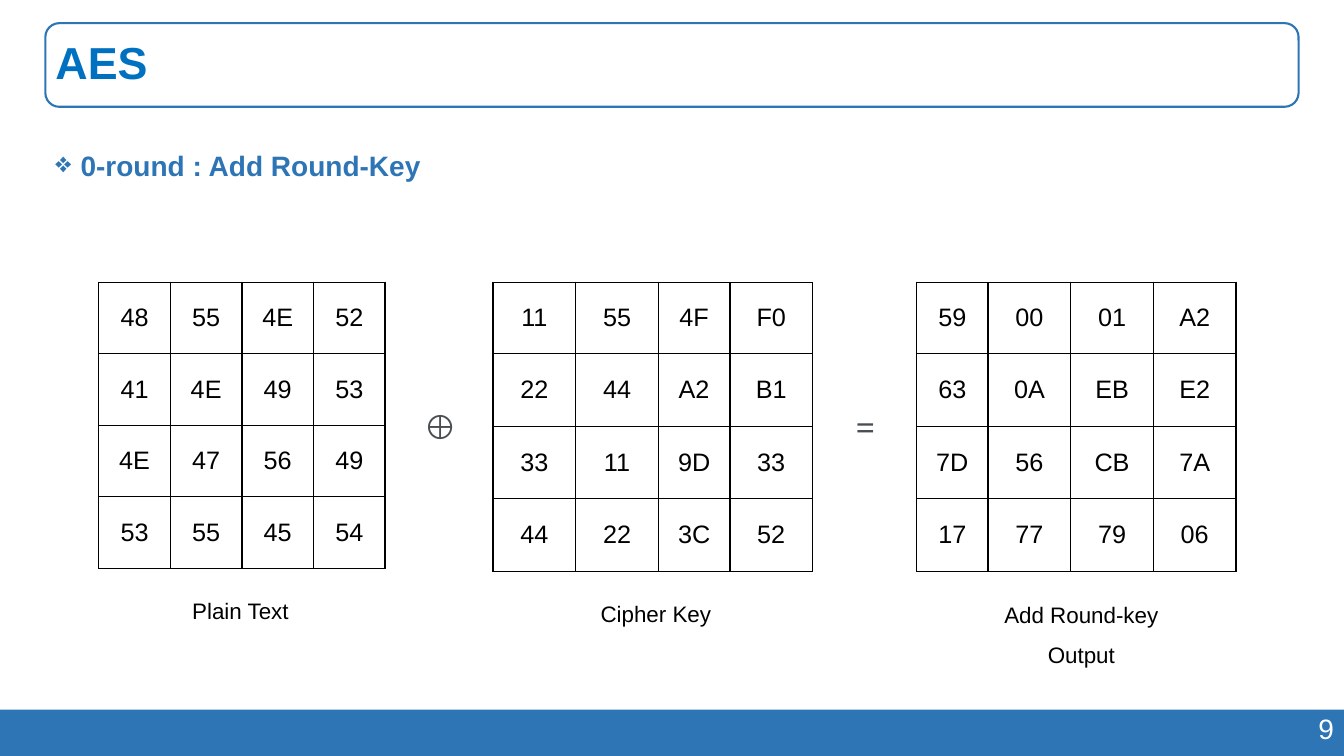
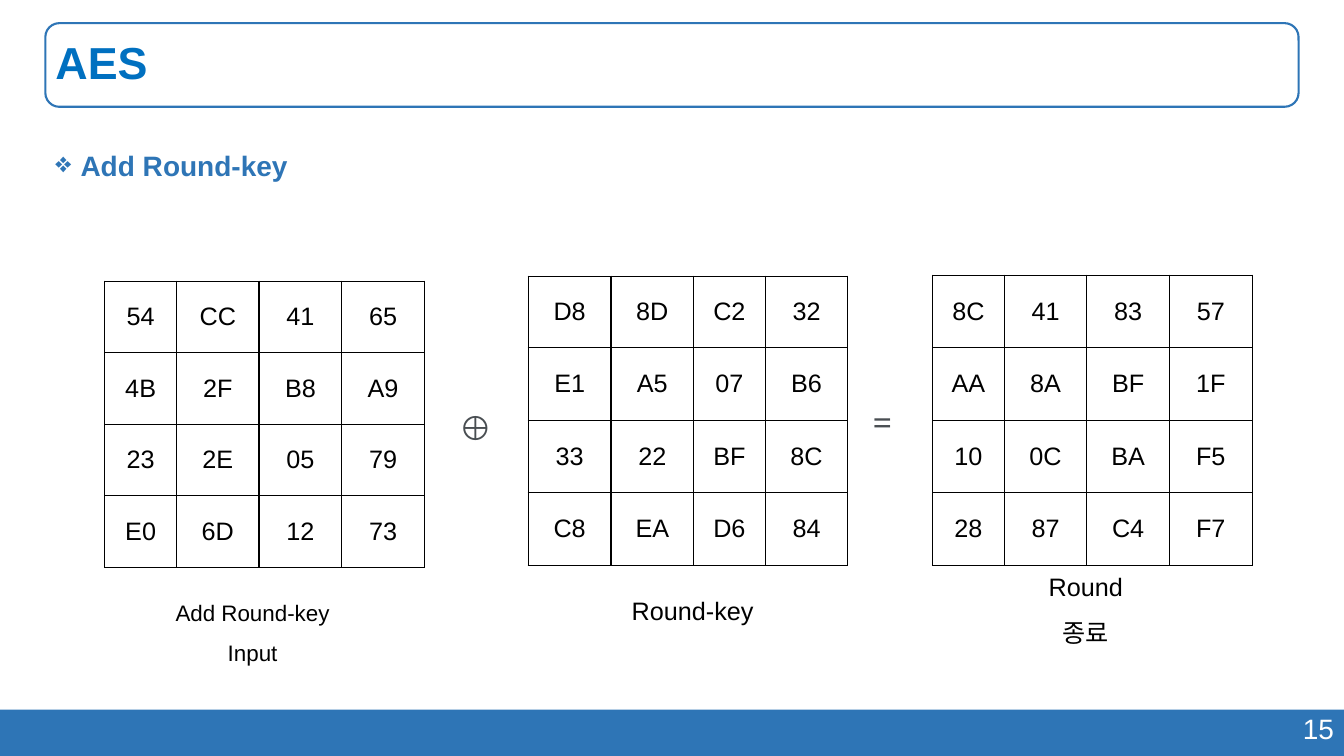
from lxml import etree
from pptx import Presentation
from pptx.dml.color import RGBColor
from pptx.enum.shapes import MSO_SHAPE
from pptx.enum.text import MSO_ANCHOR, MSO_AUTO_SIZE, PP_ALIGN
from pptx.oxml.ns import qn
from pptx.util import Emu, Pt

# Style constants
PX = 9144  # EMU in one px, 100 px to the inch
LEFT, CENTER, RIGHT = PP_ALIGN.LEFT, PP_ALIGN.CENTER, PP_ALIGN.RIGHT
TOP, MIDDLE = MSO_ANCHOR.TOP, MSO_ANCHOR.MIDDLE
RECTANGLE, ROUNDED = MSO_SHAPE.RECTANGLE, MSO_SHAPE.ROUNDED_RECTANGLE
NO_AUTO_SIZE = MSO_AUTO_SIZE.NONE
SANS, SERIF = "Arial", "Times New Roman"
WIDTH, HEIGHT = 1333, 750
BAND_TOP = 704
TITLE_BOX = (45, 23, 1243, 83)
NARROW, WIDE = 71, 82

BLUE, TITLE_BLUE = "2E75B6", "0070C0"
BLACK, WHITE, GRAY = "000000", "FFFFFF", "494E52"


def color(value):
    return RGBColor.from_string(value)


def px(*lengths):
    return [Emu(length * PX) for length in lengths]


class Deck:
    def __init__(self):
        self.presentation = Presentation()
        self.presentation.slide_width, self.presentation.slide_height = px(WIDTH, HEIGHT)
        self.slide = None

    def add_slide(self, title, heading, number):
        layout = self.presentation.slide_layouts[5]
        self.slide = self.presentation.slides.add_slide(layout)
        # Footer band with page number
        self.shape(RECTANGLE, (0, BAND_TOP, WIDTH, HEIGHT - BAND_TOP), fill=BLUE)
        self.text(number, (943, 701, 390, 44), 20, WHITE, align=RIGHT)
        # Framed title
        self.shape(ROUNDED, TITLE_BOX, line=BLUE)
        self.title(title)
        # Bulleted heading
        self.text(heading, (45, 126, 811, 83), 20, BLUE, bold=True,
                  spacing=1.5, bullet="❖")

    def shape(self, kind, box, fill=None, line=None):
        shape = self.slide.shapes.add_shape(kind, *px(*box))
        shape.shadow.inherit = False
        if fill:
            shape.fill.solid()
            shape.fill.fore_color.rgb = color(fill)
        else:
            shape.fill.background()
        if line:
            shape.line.color.rgb = color(line)
            shape.line.width = Pt(1.5)
        else:
            shape.line.fill.background()

    def title(self, text):
        title = self.slide.shapes.title
        title.left, title.top, title.width, title.height = px(*TITLE_BOX)
        frame = title.text_frame
        frame.text = text
        frame.auto_size = NO_AUTO_SIZE
        frame.vertical_anchor = MIDDLE
        self.format(frame.paragraphs[0], 32, TITLE_BLUE, bold=True, spacing=0.9)

    def text(self, text, box, size, ink, font=SANS, bold=False, align=LEFT,
             spacing=1.0, anchor=TOP, wrap=True, bullet=None):
        frame = self.slide.shapes.add_textbox(*px(*box)).text_frame
        frame.text = text
        frame.word_wrap = wrap
        frame.vertical_anchor = anchor
        for paragraph in frame.paragraphs:
            if bullet:
                self.bullet(paragraph, bullet)
            self.format(paragraph, size, ink, font, bold, align, spacing)

    def bullet(self, paragraph, character, indent=25):
        properties = paragraph._p.get_or_add_pPr()
        properties.set("marL", str(indent * PX))
        properties.set("indent", str(-indent * PX))
        etree.SubElement(properties, qn("a:buChar")).set("char", character)

    def format(self, paragraph, size, ink, font=SANS, bold=False, align=LEFT, spacing=1.0):
        paragraph.alignment = align
        paragraph.line_spacing = spacing
        for run in paragraph.runs:
            run.font.name = font
            run.font.size = Pt(size)
            run.font.bold = bold
            run.font.color.rgb = color(ink)

    def matrix(self, left, top, columns, rows, values):
        box = px(left, top, sum(columns), sum(rows))
        table = self.slide.shapes.add_table(len(rows), len(columns), *box).table
        table.first_row = table.horz_banding = False
        for column, width in zip(table.columns, columns):
            column.width = Emu(width * PX)
        for row, height, line in zip(table.rows, rows, values):
            row.height = Emu(height * PX)
            for cell, value in zip(row.cells, line.split()):
                cell.text = value
                cell.vertical_anchor = MIDDLE
                cell.fill.solid()
                cell.fill.fore_color.rgb = color(WHITE)
                self.format(cell.text_frame.paragraphs[0], 18, BLACK, align=CENTER)
                self.borders(cell)

    def borders(self, cell):
        properties = cell._tc.get_or_add_tcPr()
        for index, side in enumerate(("lnL", "lnR", "lnT", "lnB")):
            border = etree.Element(qn("a:" + side), w=str(Pt(1)))
            fill = etree.SubElement(border, qn("a:solidFill"))
            etree.SubElement(fill, qn("a:srgbClr"), val=BLACK)
            properties.insert(index, border)

    def operator(self, symbol, left, top):
        self.text(symbol, (left, top, 61, 50), 24, GRAY, SERIF, bold=True)

    def caption(self, text, box, size=16, spacing=1.5, anchor=TOP, wrap=False):
        self.text(text, box, size, BLACK, align=CENTER, spacing=spacing,
                  anchor=anchor, wrap=wrap)


def main():
    deck = Deck()
    square = [NARROW] * 4
    key_columns = [WIDE, WIDE, NARROW, WIDE]
    state_columns = [NARROW, WIDE, WIDE, WIDE]
    tall_rows = [71, 72, 72, 72]

    # Initial round
    deck.add_slide("AES", "0-round : Add Round-Key", "9")
    deck.matrix(98, 280, square, square,
                ["48 55 4E 52", "41 4E 49 53", "4E 47 56 49", "53 55 45 54"])
    deck.caption("Plain Text", (180, 587, 117, 37), spacing=1.0)
    deck.operator("⊕", 410, 398)
    deck.matrix(489, 280, key_columns, tall_rows,
                ["11 55 4F F0", "22 44 A2 B1", "33 11 9D 33", "44 22 3C 52"])
    deck.caption("Cipher Key", (585, 590, 131, 37), spacing=1.0)
    deck.operator("=", 839, 398)
    deck.matrix(909, 280, state_columns, tall_rows,
                ["59 00 01 A2", "63 0A EB E2", "7D 56 CB 7A", "17 77 79 06"])
    deck.caption("Add Round-key\nOutput", (985, 578, 175, 86))

    # Final step of a round
    deck.add_slide("AES", "Add Round-key", "15")
    deck.matrix(104, 279, state_columns, square,
                ["54 CC 41 65", "4B 2F B8 A9", "23 2E 05 79", "E0 6D 12 73"])
    deck.caption("Add Round-key\nInput", (163, 576, 175, 86))
    deck.operator("⊕", 445, 399)
    deck.matrix(524, 274, key_columns, tall_rows,
                ["D8 8D C2 32", "E1 A5 07 B6", "33 22 BF 8C", "C8 EA D6 84"])
    deck.caption("Round-key", (616, 573, 142, 50), size=18, anchor=MIDDLE)
    deck.operator("=", 856, 393)
    deck.matrix(925, 273, state_columns, [72] * 4,
                ["8C 41 83 57", "AA 8A BF 1F", "10 0C BA F5", "28 87 C4 F7"])
    deck.caption("Round 종료", (1022, 549, 110, 96), size=18, anchor=MIDDLE, wrap=True)

    deck.presentation.save("out.pptx")


if __name__ == "__main__":
    main()
